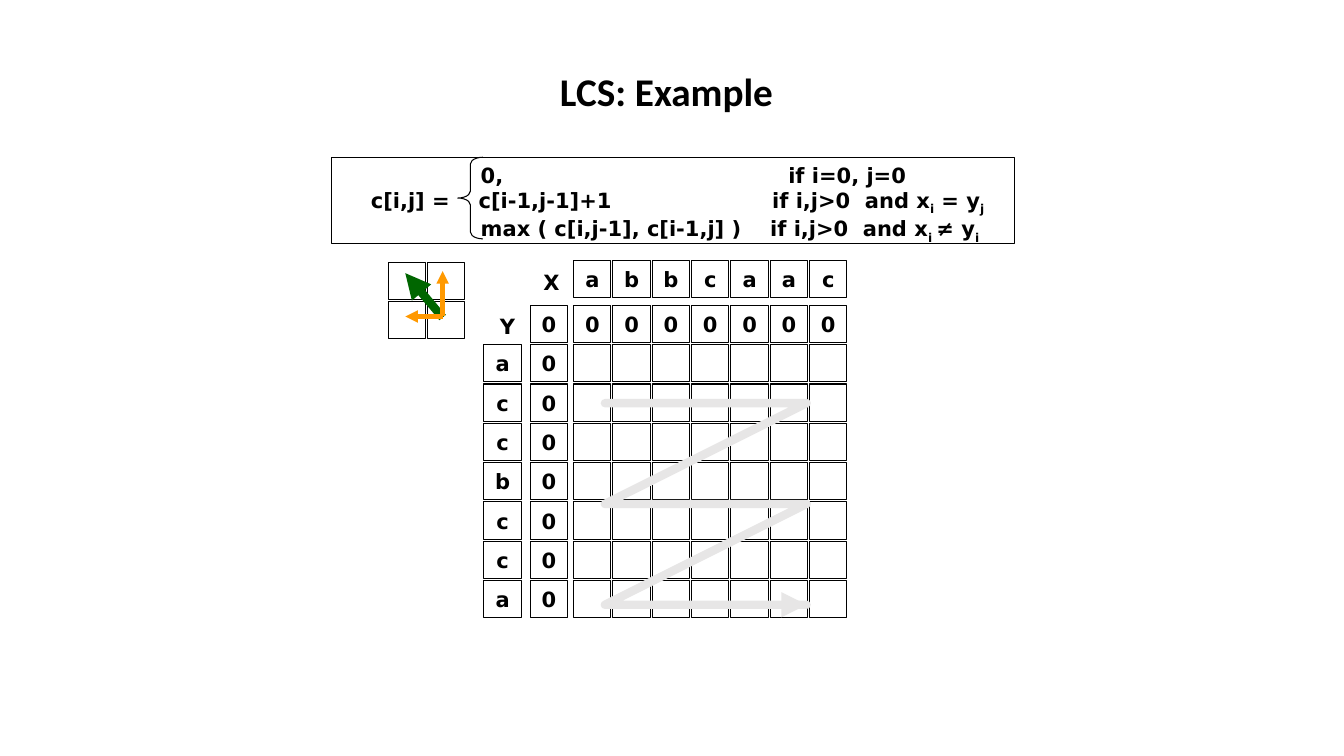
from lxml import etree
from pptx import Presentation
from pptx import util as u
from pptx.dml.color import RGBColor
from pptx.enum import shapes, text
from pptx.oxml import ns

BLACK, GREY, GREEN, ORANGE = "000000", "E7E6E6", "006600", "FF9900"
CELL, PITCH = 0.37, 0.39
GRID_LEFT, GRID_TOP = 5.69, 3.03
X_WORD, Y_WORD = "abbcaac", "accbcca"


def color(value):
    return RGBColor.from_string(value)


def add_xml(parent, tag, **attributes):
    return etree.SubElement(parent, ns.qn(tag), attributes)


class Board:
    """Holds the style and the slide being drawn."""

    body = {"name": "DejaVu Sans", "size": u.Pt(15), "bold": True}
    heading = {"name": "Calibri", "size": u.Pt(28), "bold": True}

    def __init__(self, slide):
        self.slide = slide

    def add_text(self, paragraph, content, style=None, baseline=None):
        run = paragraph.add_run()
        run.text = content
        for name, value in (style or self.body).items():
            setattr(run.font, name, value)
        run.font.color.rgb = color(BLACK)
        if baseline:
            run.font._element.set("baseline", str(baseline))

    def shape(self, kind, left, top, width, height):
        shape = self.slide.shapes.add_shape(kind, *map(u.Inches, (left, top, width, height)))
        shape.shadow.inherit = False
        shape.fill.background()
        shape.line.color.rgb = color(BLACK)
        shape.line.width = u.Pt(0.75)
        return shape

    def cell(self, left, top, content=""):
        shape = self.shape(shapes.MSO_SHAPE.RECTANGLE, left, top, CELL, CELL)
        if content:
            frame = shape.text_frame
            frame.word_wrap = False
            frame.vertical_anchor = text.MSO_ANCHOR.MIDDLE
            paragraph = frame.paragraphs[0]
            paragraph.alignment = text.PP_ALIGN.CENTER
            self.add_text(paragraph, content)

    def label(self, content, left, top, width, height, style=None, wrap=False, **layout):
        box = self.slide.shapes.add_textbox(*map(u.Inches, (left, top, width, height)))
        box.text_frame.word_wrap = wrap
        box.text_frame.vertical_anchor = text.MSO_ANCHOR.MIDDLE if wrap else text.MSO_ANCHOR.TOP
        paragraph = box.text_frame.paragraphs[0]
        for name, value in layout.items():
            setattr(paragraph, name, value)
        self.add_text(paragraph, content, style)

    def stroke(self, shape, stroke_color, weight):
        shape.line.color.rgb = color(stroke_color)
        shape.line.width = u.Pt(weight)
        add_xml(shape.line._get_or_add_ln(), "a:tailEnd", type="triangle")

    def arrow(self, start, end, stroke_color, weight):
        connector = self.slide.shapes.add_connector(
            shapes.MSO_CONNECTOR.STRAIGHT, *map(u.Inches, start + end))
        self.stroke(connector, stroke_color, weight)
        add_xml(connector._element.spPr, "a:effectLst")

    def route(self, points, stroke_color, weight):
        builder = self.slide.shapes.build_freeform(*points[0], scale=u.Inches(1))
        builder.add_line_segments(points[1:], close=False)
        shape = builder.convert_to_shape()
        shape.shadow.inherit = False
        shape.fill.background()
        self.stroke(shape, stroke_color, weight)

    def formula(self, rows, left, top, width, height):
        shape = self.shape(shapes.MSO_SHAPE.RECTANGLE, left, top, width, height)
        frame = shape.text_frame
        frame.word_wrap = True
        frame.vertical_anchor = text.MSO_ANCHOR.TOP
        for index, (stops, runs) in enumerate(rows):
            paragraph = frame.add_paragraph() if index else frame.paragraphs[0]
            paragraph.alignment = text.PP_ALIGN.LEFT
            tabs = add_xml(paragraph._p.get_or_add_pPr(), "a:tabLst")
            for stop in stops:
                add_xml(tabs, "a:tab", pos=str(u.Inches(stop)), algn="l")
            # Every second run is a subscript
            for position, content in enumerate(runs):
                self.add_text(paragraph, content, baseline=-25000 if position % 2 else None)


def main():
    presentation = Presentation()
    presentation.slide_width, presentation.slide_height = u.Inches(13.33), u.Inches(7.5)
    board = Board(presentation.slides.add_slide(presentation.slide_layouts[6]))

    # Title
    board.label("LCS: Example", 1.67, 0.67, 9.88, 0.52, board.heading, wrap=True,
                alignment=text.PP_ALIGN.CENTER, line_spacing=0.9)

    # Table of lengths with a first row of zeros
    columns = [GRID_LEFT + PITCH * index for index in range(len(X_WORD))]
    rows = [GRID_TOP + PITCH * index for index in range(len(Y_WORD) + 1)]
    for row, top in enumerate(rows):
        for left in columns:
            board.cell(left, top, "" if row else "0")

    # Words along the edges and the first column of zeros
    for left, letter in zip(columns, X_WORD):
        board.cell(left, 2.58, letter)
    for top, letter in zip(rows[1:], Y_WORD):
        board.cell(4.8, top, letter)
    for top in rows:
        board.cell(5.26, top, "0")

    # Key to the three directions
    for top in (2.6, 2.6 + PITCH):
        for left in (3.85, 3.85 + PITCH):
            board.cell(left, top)
    board.arrow((4.39, 3.15), (4.02, 2.71), GREEN, 6)
    board.arrow((4.39, 3.14), (4.39, 2.69), ORANGE, 3)
    board.arrow((4.39, 3.14), (4.02, 3.14), ORANGE, 3)

    # Order in which the table is filled: left end, right end, height
    sweeps = [(5.85, 8.22, 3.61), (5.85, 8.14, 3.98), (5.93, 8.29, 4.35), (5.93, 8.14, 4.72),
              (5.93, 8.14, 5.17), (5.93, 8.14, 5.53), (5.85, 8.22, 5.9)]
    board.route([(x, y) for start, end, y in sweeps for x in (start, end)], GREY, 6)

    # Names of the words
    board.label("X", 5.29, 2.62, 0.36, 0.35)
    board.label("Y", 4.86, 3.06, 0.36, 0.35)

    # Recurrence
    board.formula([
        ((1.38, 4.43), ["\t0,\tif i=0, j=0"]),
        ((0.29, 1.36, 4.27), ["\tc[i,j] =\tc[i-1,j-1]+1\tif i,j>0  and x", "i", " = y", "j"]),
        ((1.38, 4.25), ["\tmax ( c[i,j-1], c[i-1,j] )\tif i,j>0  and x", "i ", "≠ y", "i"]),
    ], 3.29, 1.56, 6.77, 0.86)
    brace = board.shape(shapes.MSO_SHAPE.LEFT_BRACE, 4.54, 1.56, 0.25, 0.81)
    brace.adjustments[0] = 0.27

    presentation.save("out.pptx")


if __name__ == "__main__":
    main()
